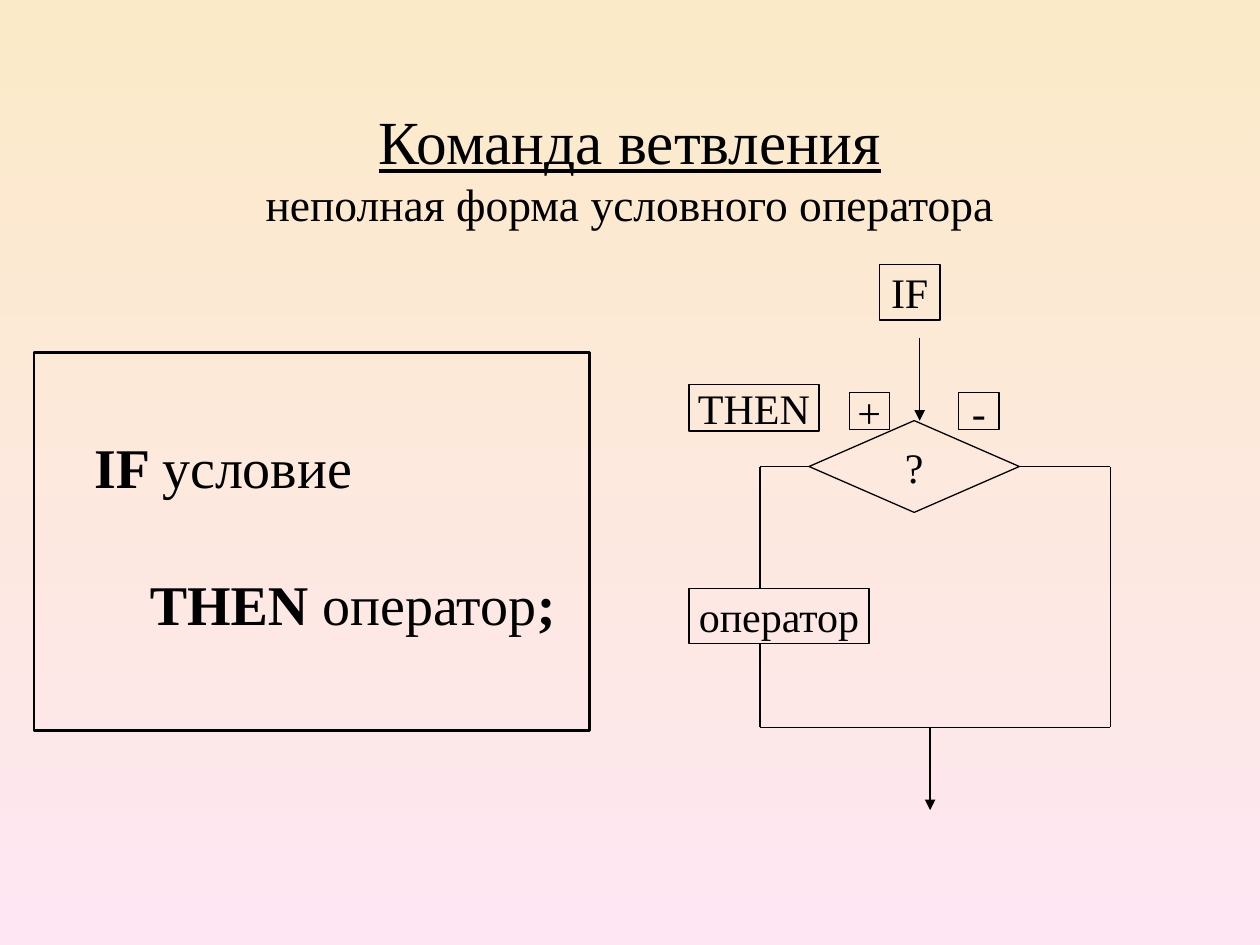
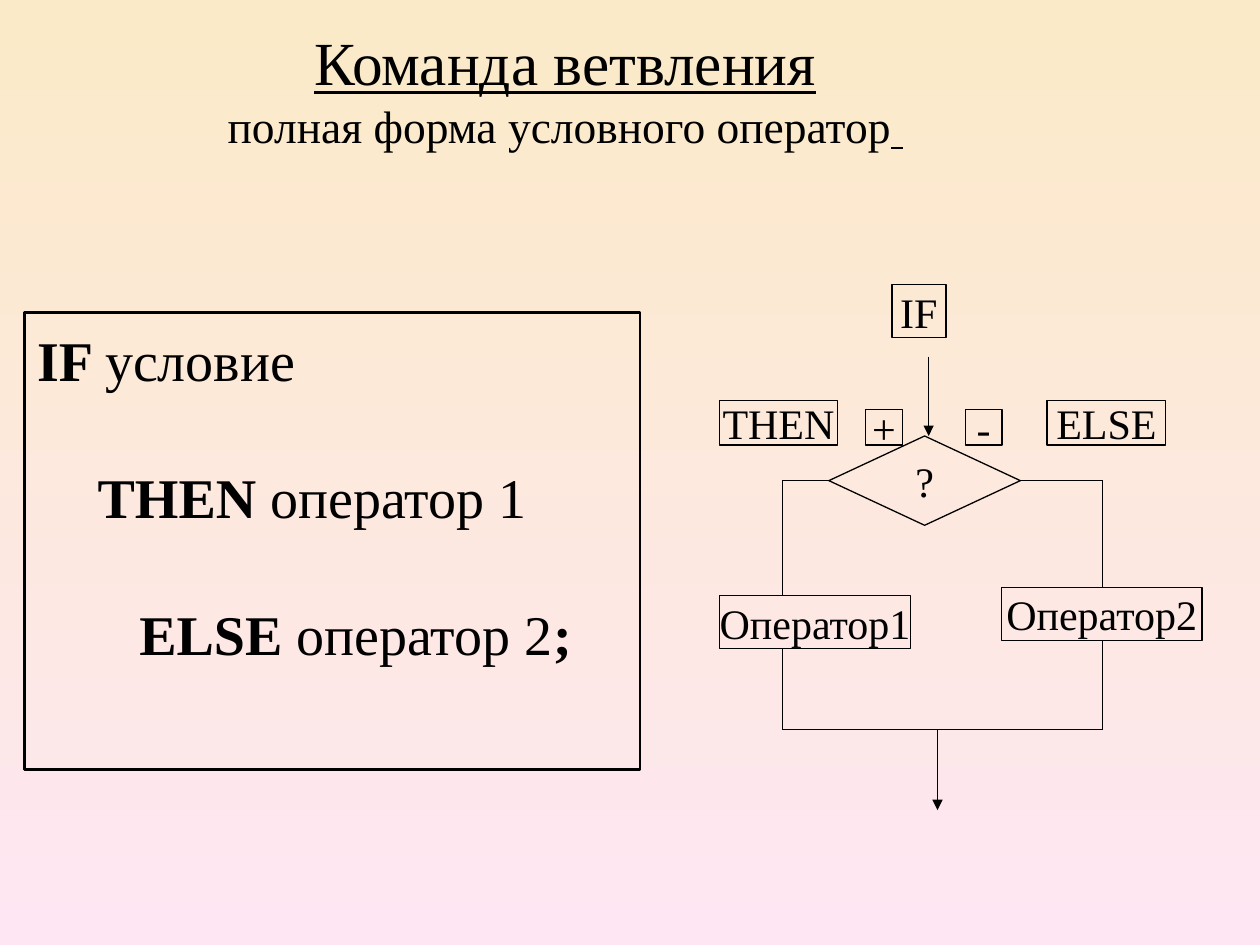
import pptx
import pptx.util
import pptx.dml.color
import pptx.enum.shapes
import pptx.enum.text
import pptx.oxml.ns
from lxml import etree

Cm = pptx.util.Cm
Pt = pptx.util.Pt
SHAPE = pptx.enum.shapes.MSO_SHAPE
ALIGN = pptx.enum.text.PP_ALIGN
ANCHOR = pptx.enum.text.MSO_ANCHOR

COLORS = {"ink": "000000", "sky": "FBEAC7", "ground": "FEE7F2"}
FONT = "Times New Roman"
TITLE = "Команда ветвления"
TITLE_SIZE, SUBTITLE_SIZE, CODE_SIZE, LABEL_SIZE = 35, 26, 32, 24
THIN, THICK = 0.75, 1.5
CODE_GAP = 40
LABEL_INSETS = (0.25, 0.13, 0.25, 0.13)

# Lengths are centimetres. Boxes are (left, top, width, height).
# Code lines are (indent, [(text, bold), ...]); branches are (x, operator or None).
SLIDES = [
    {
        "title_box": (1.9, 1.7, 21.6, 3.18),
        "title_insets": (0.25, 0.15, 0.25, 0),
        "subtitle": [("неполная форма условного оператора", False)],
        "code_box": (0.69, 7.11, 11.2, 7.62),
        "code_top": 1.6,
        "code": [
            (0.96, [("IF ", True), ("условие", False)]),
            (2.08, [("THEN ", True), ("оператор", False), (";", True)]),
        ],
        "decision": (16.31, 8.48, 4.24, 1.85),
        "entry": (18.54, 6.81),
        "exit": (18.75, 16.33),
        "join_y": 14.66,
        "branches": [
            (15.32, ("оператор", (13.89, 11.86, 3.63, 1.12))),
            (22.38, None),
        ],
        "labels": [
            ("IF", (17.73, 5.33, 1.22, 1.12)),
            ("THEN", (13.89, 7.75, 2.62, 0.94)),
            ("+", (17.12, 7.92, 0.81, 0.74)),
            ("-", (19.33, 7.92, 0.81, 0.74)),
        ],
    },
    {
        "title_box": (1.5, 0.64, 19.79, 3.18),
        "title_insets": (0.25, 0, 0.25, 0.9),
        "subtitle": [("полная форма условного оператор", False), (" ", True)],
        "code_box": (0.5, 6.3, 12.4, 9.22),
        "code_top": 0.26,
        "code": [
            (0, [("IF ", True), ("условие", False)]),
            (1.22, [("THEN ", True), ("оператор 1", False)]),
            (2.06, [("ELSE ", True), ("оператор 2", False), (";", True)]),
        ],
        "decision": (16.71, 8.79, 3.86, 1.8),
        "entry": (18.72, 7.19),
        "exit": (18.9, 16.33),
        "join_y": 14.71,
        "branches": [
            (15.77, ("Оператор1", (14.5, 12.01, 3.86, 1.07))),
            (22.23, ("Оператор2", (20.19, 11.84, 4.04, 1.07))),
        ],
        "labels": [
            ("IF", (17.98, 5.74, 1.09, 1.07)),
            ("THEN", (14.5, 8.08, 2.39, 0.89)),
            ("+", (17.45, 8.26, 0.74, 0.71)),
            ("-", (19.46, 8.26, 0.74, 0.71)),
            ("ELSE", (21.11, 8.08, 2.39, 0.89)),
        ],
    },
]


def rgb(name):
    return pptx.dml.color.RGBColor.from_string(COLORS[name])


def set_background(master):
    fill = master.background.fill
    fill.gradient()
    fill.gradient_angle = 270
    for stop, name in zip(fill.gradient_stops, ("sky", "ground")):
        stop.color.rgb = rgb(name)


def add_run(paragraph, text, size, bold=False, underline=False):
    run = paragraph.add_run()
    run.text = text
    run.font.name = FONT
    run.font.size = Pt(size)
    run.font.bold = bold
    run.font.underline = underline
    run.font.color.rgb = rgb("ink")


def set_frame(frame, insets, anchor, wrap):
    left, top, right, bottom = insets
    frame.margin_left, frame.margin_top = Cm(left), Cm(top)
    frame.margin_right, frame.margin_bottom = Cm(right), Cm(bottom)
    frame.vertical_anchor = anchor
    frame.word_wrap = wrap


def add_outline(shapes, kind, box, weight):
    """Add an unfilled shape with an ink outline."""
    shape = shapes.add_shape(kind, *map(Cm, box))
    shape.shadow.inherit = False
    shape.fill.background()
    shape.line.color.rgb = rgb("ink")
    shape.line.width = Pt(weight)
    return shape


def add_label(shapes, text, box, kind=SHAPE.RECTANGLE):
    frame = add_outline(shapes, kind, box, THIN).text_frame
    set_frame(frame, LABEL_INSETS, ANCHOR.MIDDLE, False)
    paragraph = frame.paragraphs[0]
    paragraph.alignment = ALIGN.CENTER
    add_run(paragraph, text, LABEL_SIZE)


def add_line(shapes, start, end, arrow=False):
    line = shapes.add_connector(
        pptx.enum.shapes.MSO_CONNECTOR.STRAIGHT, *map(Cm, start + end))
    line.line.color.rgb = rgb("ink")
    line.line.width = Pt(THIN)
    properties = line._element.spPr
    if arrow:
        outline = properties.find(pptx.oxml.ns.qn("a:ln"))
        etree.SubElement(outline, pptx.oxml.ns.qn("a:tailEnd"), type="triangle")
    etree.SubElement(properties, pptx.oxml.ns.qn("a:effectLst"))


def add_title(slide, content):
    frame = slide.shapes.add_textbox(*map(Cm, content["title_box"])).text_frame
    set_frame(frame, content["title_insets"], ANCHOR.MIDDLE, True)
    heading, subtitle = frame.paragraphs[0], frame.add_paragraph()
    heading.alignment = subtitle.alignment = ALIGN.CENTER
    add_run(heading, TITLE, TITLE_SIZE, underline=True)
    for text, underline in content["subtitle"]:
        add_run(subtitle, text, SUBTITLE_SIZE, underline=underline)


def add_code(slide, content):
    shape = add_outline(slide.shapes, SHAPE.RECTANGLE, content["code_box"], THICK)
    frame = shape.text_frame
    for number, (indent, runs) in enumerate(content["code"]):
        paragraph = frame.add_paragraph() if number else frame.paragraphs[0]
        paragraph.alignment = ALIGN.LEFT
        if number:
            paragraph.space_before = Pt(CODE_GAP)
        properties = paragraph._p.get_or_add_pPr()
        properties.set("marL", str(Cm(indent)))
        for text, bold in runs:
            add_run(paragraph, text, CODE_SIZE, bold=bold)
    set_frame(frame, (0.25, content["code_top"], 0.25, 0.13), ANCHOR.TOP, True)


def add_flowchart(slide, content):
    shapes = slide.shapes.add_group_shape().shapes
    left, top, width, height = content["decision"]
    middle, join_y = top + height / 2, content["join_y"]
    entry_x, exit_x = content["entry"][0], content["exit"][0]

    add_line(shapes, content["entry"], (entry_x, top), arrow=True)
    add_label(shapes, "?", content["decision"], SHAPE.FLOWCHART_DECISION)
    for corner, (x, operator) in zip((left, left + width), content["branches"]):
        add_line(shapes, (corner, middle), (x, middle))
        if operator:
            text, box = operator
            add_line(shapes, (x, middle), (x, box[1]))
            add_label(shapes, text, box)
            add_line(shapes, (x, box[1] + box[3]), (x, join_y))
        else:
            add_line(shapes, (x, middle), (x, join_y))
    (left_x, _), (right_x, _) = content["branches"]
    add_line(shapes, (left_x, join_y), (right_x, join_y))
    add_line(shapes, (exit_x, join_y), content["exit"], arrow=True)
    for text, box in content["labels"]:
        add_label(shapes, text, box)


def main():
    presentation = pptx.Presentation()
    presentation.slide_width, presentation.slide_height = Cm(25.4), Cm(19.05)
    set_background(presentation.slide_master)
    for content in SLIDES:
        slide = presentation.slides.add_slide(presentation.slide_layouts[6])
        add_title(slide, content)
        add_code(slide, content)
        add_flowchart(slide, content)
    presentation.save("out.pptx")


if __name__ == "__main__":
    main()
